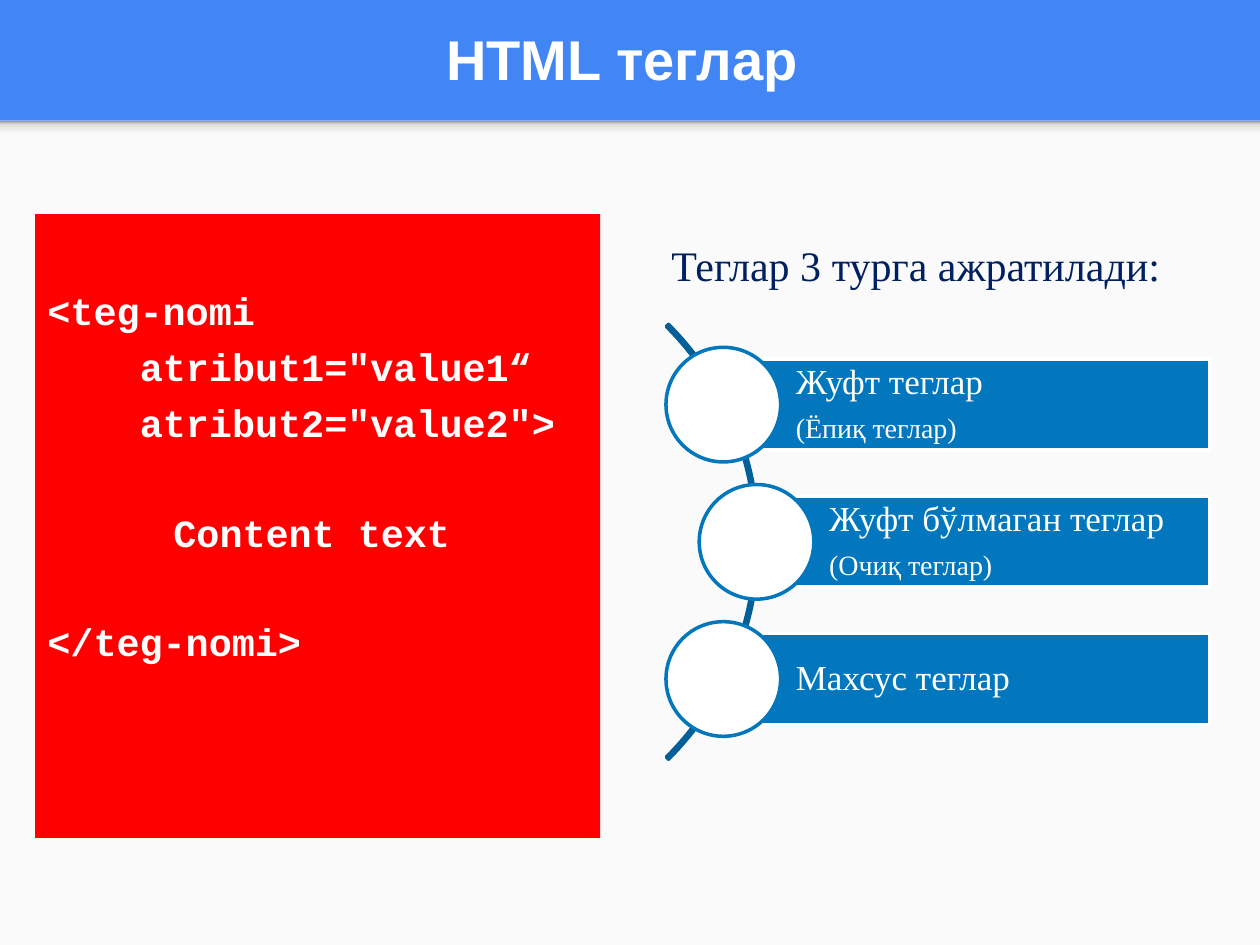
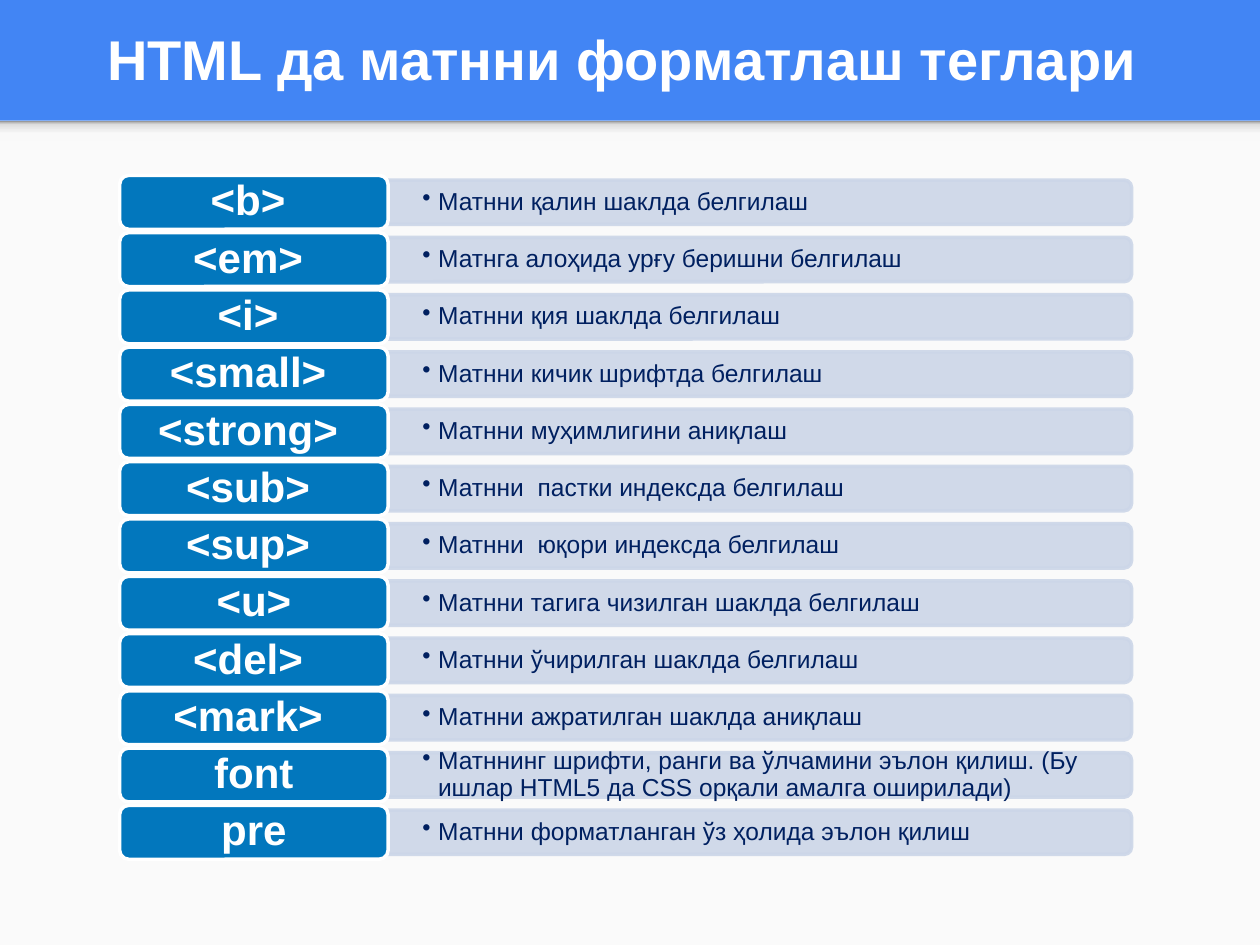
from copy import deepcopy
from typing import NamedTuple

from lxml.etree import SubElement
from pptx import Presentation
from pptx.dml.color import RGBColor
from pptx.enum.shapes import MSO_SHAPE as SHAPE
from pptx.enum.text import MSO_ANCHOR as ANCHOR, MSO_AUTO_SIZE as AUTO_SIZE, PP_ALIGN as ALIGN
from pptx.oxml.ns import qn
from pptx.util import Pt

HEADER_BLUE = RGBColor(0x42, 0x85, 0xF4)
PAPER = RGBColor(0xFA, 0xFA, 0xFA)
WHITE = RGBColor(0xFF, 0xFF, 0xFF)
RED = RGBColor(0xFF, 0x00, 0x00)
NAVY = RGBColor(0x00, 0x20, 0x60)
TAG_BLUE = RGBColor(0x02, 0x77, 0xBD)
ARC_BLUE = RGBColor(0x02, 0x5F, 0x97)
PALE_BLUE = RGBColor(0xCC, 0xD6, 0xE8)
SHADOW_STOPS = [
    (0, RGBColor(0xF9, 0xF9, 0xF9)),
    (0.36, RGBColor(0xF9, 0xF9, 0xF9)),
    (0.8, RGBColor(0xDE, 0xDE, 0xDE)),
    (1, RGBColor(0x99, 0x99, 0x99)),
]

SANS, SERIF, MONO = "Arial", "Times New Roman", "Courier New"
PAGE_W, PAGE_H, HEADER_H = 720, 540, 69

CODE_LINES = [
    ("<teg-nomi", 0, 0),
    ('atribut1="value1“', 52.8, 1.8),
    ('atribut2="value2">', 52.8, 1.8),
    ("Content text", 72, 32.3),
    ("</teg-nomi>", 0, 32.3),
]
TAG_KINDS = [
    ("Жуфт теглар", "(Ёпиқ теглар)"),
    ("Жуфт бўлмаган теглар", "(Очиқ теглар)"),
    ("Махсус теглар",),
]
FORMAT_TAGS = [
    ("<b> ", "Матнни қалин шаклда белгилаш"),
    ("<em> ", "Матнга алоҳида урғу беришни белгилаш"),
    ("<i> ", "Матнни қия шаклда белгилаш"),
    ("<small> ", "Матнни кичик шрифтда белгилаш"),
    ("<strong> ", "Матнни муҳимлигини аниқлаш"),
    ("<sub> ", "Матнни  пастки индексда белгилаш"),
    ("<sup> ", "Матнни  юқори индексда белгилаш"),
    ("<u>", "Матнни тагига чизилган шаклда белгилаш"),
    ("<del> ", "Матнни ўчирилган шаклда белгилаш"),
    ("<mark> ", "Матнни ажратилган шаклда аниқлаш"),
    ("font", "Матннинг шрифти, ранги ва ўлчамини эълон қилиш. "
             "(Бу ишлар HTML5 да CSS орқали амалга оширилади)"),
    ("pre", "Матнни форматланган ўз ҳолида эълон қилиш"),
]


class Box(NamedTuple):
    left: float
    top: float
    width: float
    height: float

    def in_points(self):
        return [Pt(round(length, 2)) for length in self]


def add_block(slide, kind, box, fill, line=None):
    block = slide.shapes.add_shape(kind, *box.in_points())
    block.shadow.inherit = False
    block.fill.solid()
    block.fill.fore_color.rgb = fill
    if line is None:
        block.line.fill.background()
    else:
        block.line.color.rgb = line
        block.line.width = Pt(2)
    return block


def prepare_frame(frame, insets, anchor=ANCHOR.MIDDLE):
    frame.word_wrap = True
    frame.auto_size = AUTO_SIZE.NONE
    frame.vertical_anchor = anchor
    left, top, right, bottom = insets
    frame.margin_left, frame.margin_top = Pt(left), Pt(top)
    frame.margin_right, frame.margin_bottom = Pt(right), Pt(bottom)
    return frame


def write(frame, number, text, font, size, color, bold=False,
          align=ALIGN.LEFT, spacing=0.9, before=0):
    paragraph = frame.add_paragraph() if number else frame.paragraphs[0]
    paragraph.alignment = align
    paragraph.line_spacing = spacing
    paragraph.space_before = Pt(before)
    run = paragraph.add_run()
    run.text = text
    run.font.name = font
    run.font.size = Pt(size)
    run.font.bold = bold
    run.font.color.rgb = color
    return paragraph


def set_indent(paragraph, left, first=0):
    properties = paragraph._p.get_or_add_pPr()
    properties.set("marL", str(Pt(left)))
    properties.set("indent", str(Pt(first)))
    return properties


def add_page(prs, heading):
    slide = prs.slides.add_slide(prs.slide_layouts[5])
    add_block(slide, SHAPE.RECTANGLE, Box(0, HEADER_H, PAGE_W, PAGE_H - HEADER_H), PAPER)

    shadow = add_block(slide, SHAPE.RECTANGLE, Box(0, HEADER_H, PAGE_W, 11.5), PAPER)
    shadow.fill.gradient()
    shadow.fill.gradient_angle = 90
    stops = shadow._element.spPr.find(".//" + qn("a:gsLst"))
    stops.extend([deepcopy(stop) for stop in stops])
    for stop, (position, color) in zip(shadow.fill.gradient_stops, SHADOW_STOPS):
        stop.position = position
        stop.color.rgb = color

    title = slide.shapes.title
    title.left, title.top, title.width, title.height = Box(8, 1.5, 695, 63.5).in_points()
    frame = prepare_frame(title.text_frame, (7.2, 7.2, 7.2, 7.2))
    write(frame, 0, heading, SANS, 32, WHITE, True, ALIGN.CENTER, 1)
    return slide


def add_code_panel(slide, box):
    panel = add_block(slide, SHAPE.RECTANGLE, box, RED)
    frame = prepare_frame(panel.text_frame, (7.2, 37.5, 7.2, 7.2), ANCHOR.TOP)
    for number, (code, indent, before) in enumerate(CODE_LINES):
        paragraph = write(frame, number, code, MONO, 22, WHITE, True,
                          spacing=1.15, before=before)
        set_indent(paragraph, indent)


def add_tag_kinds(slide, box):
    intro = slide.shapes.add_textbox(*box._replace(height=50).in_points())
    frame = prepare_frame(intro.text_frame, (7.2, 10.4, 7.2, 7.2), ANCHOR.TOP)
    write(frame, 0, "Теглар 3 турга ажратилади:", SERIF, 24, NAVY, spacing=1.15)

    middle = box.top + 187.2
    arc_size, bar_h, dot, pitch = 351.4, 52, 65.5, 78.4
    arc = add_block(slide, SHAPE.BLOCK_ARC,
                    Box(box.left - 294.5, middle - arc_size / 2, arc_size, arc_size),
                    ARC_BLUE, ARC_BLUE)
    for index, value in enumerate((189, 27, 0.005)):
        arc.adjustments[index] = value

    right = box.left + 314.6
    for row, lines in enumerate(TAG_KINDS):
        left = box.left + (55.7 if row == 1 else 36.7)
        center = middle + (row - 1) * pitch
        bar = add_block(slide, SHAPE.RECTANGLE,
                        Box(left, center - bar_h / 2, right - left, bar_h), TAG_BLUE, WHITE)
        frame = prepare_frame(bar.text_frame, (41.5, 4, 4, 4))
        for number, text in enumerate(lines):
            write(frame, number, text, SERIF, 16 if number else 20, WHITE,
                  before=7 if number else 0)
        add_block(slide, SHAPE.OVAL, Box(left - dot / 2, center - dot / 2, dot, dot),
                  WHITE, TAG_BLUE)


def add_format_row(slide, box, tag, meaning):
    chip_w, strip_h = 153.4, 25.4
    strip_w = box.width - chip_w
    center_x = box.left + chip_w + strip_w / 2
    center_y = box.top + box.height / 2

    strip = add_block(slide, SHAPE.ROUND_2_SAME_RECTANGLE,
                      Box(center_x - strip_h / 2, center_y - strip_w / 2, strip_h, strip_w),
                      PALE_BLUE, PALE_BLUE)
    strip.rotation = 90
    for color in strip._element.spPr.iter(qn("a:srgbClr")):
        SubElement(color, qn("a:alpha"), val="90000")

    note = slide.shapes.add_textbox(
        *Box(box.left + chip_w, center_y - 11.2, strip_w - 1.5, 22.4).in_points())
    frame = prepare_frame(note.text_frame, (19.5, 0, 19.5, 0))
    paragraph = write(frame, 0, meaning, SANS, 14, NAVY)
    properties = set_indent(paragraph, 9, -9)
    SubElement(properties, qn("a:buChar"), char="•")

    chip = add_block(slide, SHAPE.ROUNDED_RECTANGLE, box._replace(width=chip_w),
                     TAG_BLUE, WHITE)
    frame = prepare_frame(chip.text_frame, (7.2, 0, 7.2, 0))
    write(frame, 0, tag, SANS, 24, WHITE, True, ALIGN.CENTER)


def add_format_list(slide, box):
    row_h = 30.8
    pitch = (box.height - row_h) / (len(FORMAT_TAGS) - 1)
    for row, (tag, meaning) in enumerate(FORMAT_TAGS):
        row_box = Box(box.left, box.top + row * pitch, box.width, row_h)
        add_format_row(slide, row_box, tag, meaning)


def main():
    prs = Presentation()
    prs.slide_width, prs.slide_height = Pt(PAGE_W), Pt(PAGE_H)
    backdrop = prs.slide_master.background.fill
    backdrop.solid()
    backdrop.fore_color.rgb = HEADER_BLUE

    tags = add_page(prs, "HTML теглар")
    add_code_panel(tags, Box(20, 122.4, 323, 356.4))
    add_tag_kinds(tags, Box(376.6, 122.4, 318, 356.4))

    formats = add_page(prs, "HTML да матнни форматлаш теглари")
    add_format_list(formats, Box(68.4, 100.2, 578.2, 390.8))
    prs.save("out.pptx")


if __name__ == "__main__":
    main()
